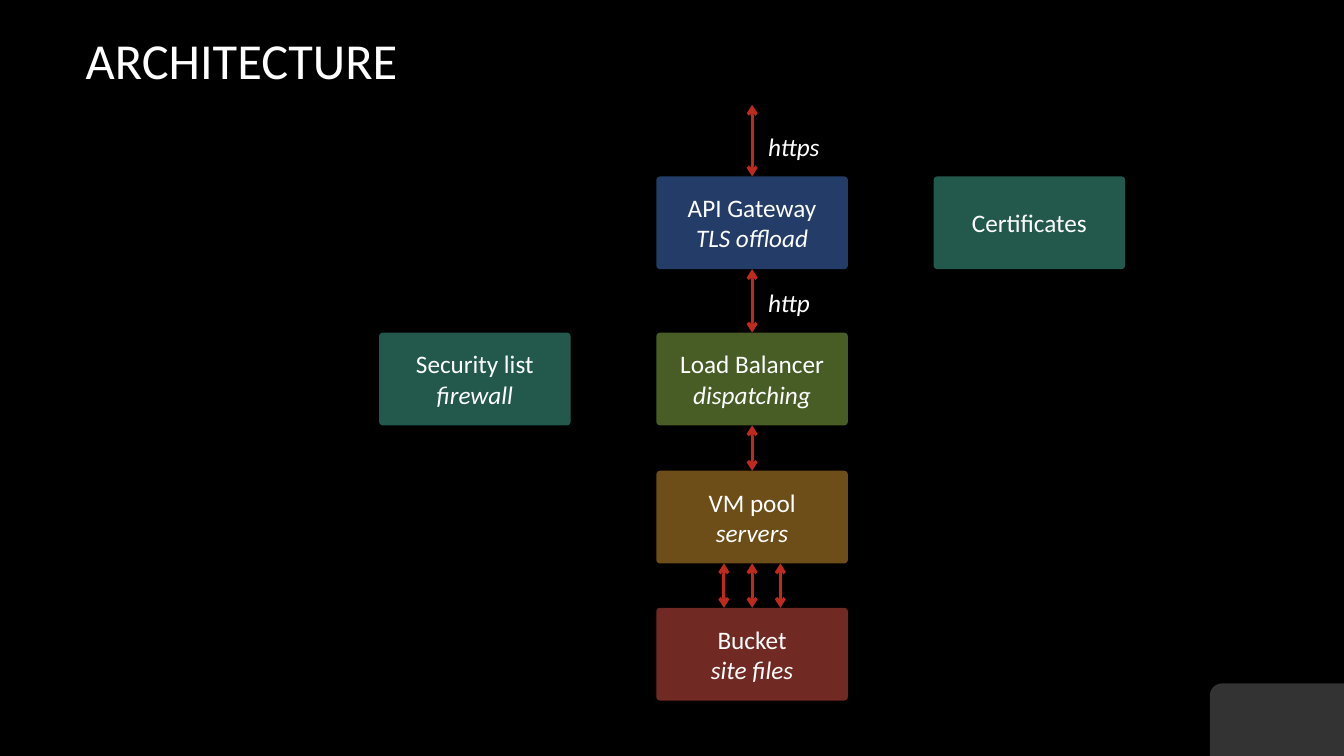
from dataclasses import dataclass

from lxml import etree
from pptx import Presentation
from pptx.dml.color import RGBColor
from pptx.enum.shapes import MSO_CONNECTOR, MSO_SHAPE
from pptx.enum.text import MSO_ANCHOR, PP_ALIGN
from pptx.oxml.ns import qn
from pptx.util import Emu, Pt

PX = 9144  # 100 px to the inch
ROUNDED = MSO_SHAPE.ROUNDED_RECTANGLE
ONE_ROUND = MSO_SHAPE.ROUND_1_RECTANGLE
STRAIGHT = MSO_CONNECTOR.STRAIGHT
LEFT, CENTER = PP_ALIGN.LEFT, PP_ALIGN.CENTER
TOP, MIDDLE = MSO_ANCHOR.TOP, MSO_ANCHOR.MIDDLE


@dataclass(frozen=True)
class Theme:
    font: str = "Calibri"
    title_size: int = 36
    body_size: int = 18
    background: str = "000000"
    text: str = "FFFFFF"
    arrow: str = "C02A1E"
    gateway: str = "477BD1"
    security: str = "46B298"
    balancer: str = "90BA4C"
    servers: str = "DD9D31"
    storage: str = "E25247"


def px(*values):
    return [Emu(v * PX) for v in values]


class Deck:
    def __init__(self, theme):
        self.theme = theme
        self.prs = Presentation()
        self.prs.slide_width, self.prs.slide_height = px(1333, 750)
        self.s = self.prs.slides.add_slide(self.prs.slide_layouts[5])
        fill = self.s.background.fill
        fill.solid()
        fill.fore_color.rgb = RGBColor.from_string(theme.background)

    def run(self, p, text, size, italic=False):
        r = p.add_run()
        r.text = text
        r.font.name = self.theme.font
        r.font.size = Pt(size)
        r.font.italic = italic
        r.font.color.rgb = RGBColor.from_string(self.theme.text)

    def paragraph(self, sp, align, anchor):
        """Set up the text frame and return its first paragraph."""
        tf = sp.text_frame
        tf.word_wrap = True
        tf.vertical_anchor = anchor
        p = tf.paragraphs[0]
        p.alignment = align
        return p

    def title(self, text, *box):
        sp = self.s.shapes.title
        sp.left, sp.top, sp.width, sp.height = px(*box)
        self.run(self.paragraph(sp, LEFT, MIDDLE), text, self.theme.title_size)

    def shape(self, kind, color, opacity, *box):
        """Add a borderless shape with a see-through fill (opacity in percent)."""
        sp = self.s.shapes.add_shape(kind, *px(*box))
        sp.shadow.inherit = False
        sp.line.fill.background()
        sp.fill.solid()
        sp.fill.fore_color.rgb = RGBColor.from_string(color)
        clr = next(sp.element.spPr.iter(qn("a:srgbClr")))
        etree.SubElement(clr, qn("a:alpha")).set("val", str(opacity * 1000))
        return sp

    def corner(self, *box):
        sp = self.shape(ONE_ROUND, self.theme.text, 20, *box)
        sp.element.spPr.find(qn("a:xfrm")).set("flipH", "1")

    def node(self, name, role, color, *box):
        sp = self.shape(ROUNDED, color, 50, *box)
        sp.adjustments[0] = 0.04
        p = self.paragraph(sp, CENTER, MIDDLE)
        self.run(p, name, self.theme.body_size)
        if role:
            p.add_line_break()
            self.run(p, role, self.theme.body_size, italic=True)

    def arrow(self, x, top, bottom):
        """Add a vertical arrow with a head at both ends."""
        c = self.s.shapes.add_connector(STRAIGHT, *px(x, top, x, bottom))
        c.line.color.rgb = RGBColor.from_string(self.theme.arrow)
        c.line.width = Pt(2.25)
        for end in ("a:headEnd", "a:tailEnd"):
            etree.SubElement(c.line._get_or_add_ln(), qn(end)).set("type", "arrow")
        etree.SubElement(c.element.spPr, qn("a:effectLst"))

    def label(self, text, *box):
        sp = self.s.shapes.add_textbox(*px(*box))
        p = self.paragraph(sp, LEFT, TOP)
        p.line_spacing = 1.5
        p.space_after = Pt(10)
        self.run(p, text, self.theme.body_size, italic=True)


def main():
    theme = Theme()
    deck = Deck(theme)
    deck.corner(1200, 678, 133, 72)
    deck.title("ARCHITECTURE", 75, 0, 516, 117)

    node_w, node_h = 190, 92
    column_x = [376 + 275 * i for i in range(3)]
    row_y = [175, 330, 467, 603]
    nodes = [
        (1, 0, "API Gateway", "TLS offload", theme.gateway),
        (2, 0, "Certificates", "", theme.security),
        (0, 1, "Security list", "firewall", theme.security),
        (1, 1, "Load Balancer", "dispatching", theme.balancer),
        (1, 2, "VM pool", "servers", theme.servers),
        (1, 3, "Bucket", "site files", theme.storage),
    ]
    for column, row, name, role, color in nodes:
        deck.node(name, role, color, column_x[column], row_y[row], node_w, node_h)

    center = column_x[1] + node_w // 2
    starts = [104] + [y + node_h for y in row_y[:-1]]
    offsets = [[0], [0], [0], [-28, 0, 28]]
    for top, bottom, shifts in zip(starts, row_y, offsets):
        for dx in shifts:
            deck.arrow(center + dx, top, bottom)

    for text, y in (("https", 110), ("http", 265)):
        deck.label(text, center + 6, y, 137, 56)

    deck.prs.save("out.pptx")


if __name__ == "__main__":
    main()
